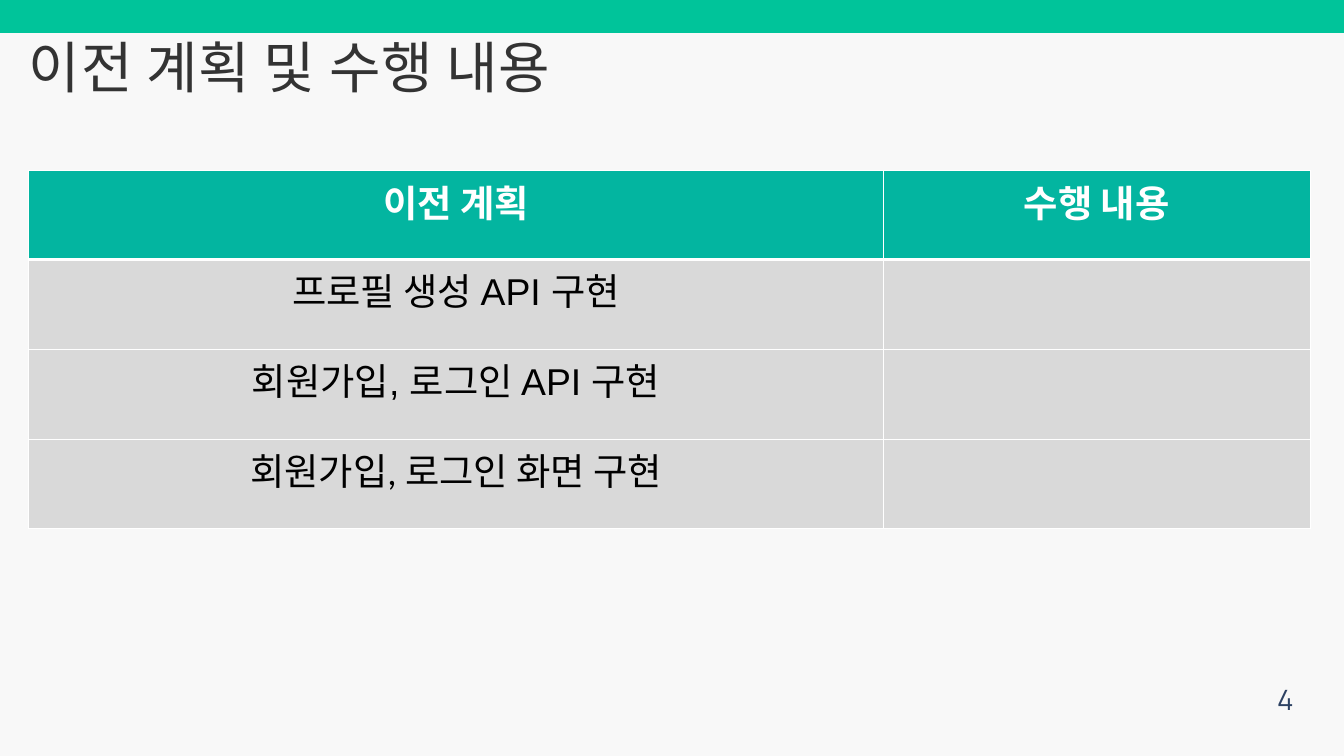
from lxml import etree
from pptx import Presentation
from pptx import util as u
from pptx.dml.color import RGBColor
from pptx.enum import shapes, text
from pptx.oxml.ns import qn

HEADERS = ["이전 계획", "수행 내용"]
PLANS = [
    ("프로필 생성 API 구현", "Arial"),
    ("회원가입, 로그인 API 구현", "Arial"),
    ("회원가입, 로그인 화면 구현", "Calibri"),
]


def color(value):
    return RGBColor.from_string(value)


def style(para, size, name, ink, bold=False):
    para.font.size = u.Pt(size)
    para.font.name = name
    para.font.bold = bold
    para.font.color.rgb = color(ink)


def add_bar(page, left, top, width, height):
    bar = page.shapes.add_shape(
        shapes.MSO_SHAPE.RECTANGLE,
        u.Inches(left), u.Inches(top), u.Inches(width), u.Inches(height))
    bar.shadow.inherit = False
    bar.fill.solid()
    bar.fill.fore_color.rgb = color("00C49A")
    bar.line.fill.background()


def add_label(page, left, top, width, height, words, size, ink, leading, align):
    box = page.shapes.add_textbox(
        u.Inches(left), u.Inches(top), u.Inches(width), u.Inches(height))
    frame = box.text_frame
    frame.word_wrap = True
    frame.margin_left = frame.margin_right = 0
    frame.margin_top = frame.margin_bottom = 0
    para = frame.paragraphs[0]
    para.alignment = align
    para.line_spacing = u.Pt(leading)
    span = para.add_run()
    span.text = words
    style(para, size, "Manrope", ink)
    return span


def add_title(page, left, top, width, height):
    span = add_label(page, left, top, width, height, "이전 계획 및 수행 내용",
                     60, "333333", 28.8, text.PP_ALIGN.LEFT)
    span.font._element.set("spc", "70")


def add_border(cell, side, points):
    properties = cell._tc.get_or_add_tcPr()
    line = etree.SubElement(properties, qn(f"a:ln{side}"), w=str(u.Pt(points)))
    fill = etree.SubElement(line, qn("a:solidFill"))
    etree.SubElement(fill, qn("a:srgbClr"), val="FFFFFF")


def fill_cell(cell, words, name, ink, bold, back, top_line, bottom_line):
    for side, points in zip("LRTB", (1, 1, top_line, bottom_line)):
        add_border(cell, side, points)
    cell.fill.solid()
    cell.fill.fore_color.rgb = color(back)
    para = cell.text_frame.paragraphs[0]
    para.alignment = text.PP_ALIGN.CENTER
    para.text = words
    style(para, 40, name, ink, bold)


def add_plan_table(page, left, top, width, height):
    table = page.shapes.add_table(
        len(PLANS) + 1, len(HEADERS),
        u.Inches(left), u.Inches(top), u.Inches(width), u.Inches(height)).table
    for column, share in zip(table.columns, (2, 1)):
        column.width = u.Inches(width * share / 3)
    header_height = 1.32
    table.rows[0].height = u.Inches(header_height)
    for column, words in enumerate(HEADERS):
        fill_cell(table.cell(0, column), words, "Arial", "FFFFFF", True, "03B5A0", 1, 3)
    for row, (plan, name) in enumerate(PLANS, 1):
        table.rows[row].height = u.Inches((height - header_height) / len(PLANS))
        for column, words in enumerate((plan, "")):
            fill_cell(table.cell(row, column), words, name, "000000", False,
                      "D9D9D9", 3 if row == 1 else 1, 1)


def main():
    deck = Presentation()
    deck.slide_width = u.Inches(20)
    deck.slide_height = u.Inches(11.25)
    page = deck.slides.add_slide(deck.slide_layouts[6])
    page.background.fill.solid()
    page.background.fill.fore_color.rgb = color("F8F8F8")
    add_bar(page, 0, 0, 20, 0.49)
    add_label(page, 18.5, 9.99, 0.75, 0.64, "4", 30, "2D4263", 48, text.PP_ALIGN.RIGHT)
    add_title(page, 0.43, 1.09, 15.89, 0.53)
    add_plan_table(page, 0.43, 2.54, 19.07, 5.33)
    deck.save("out.pptx")


if __name__ == "__main__":
    main()
